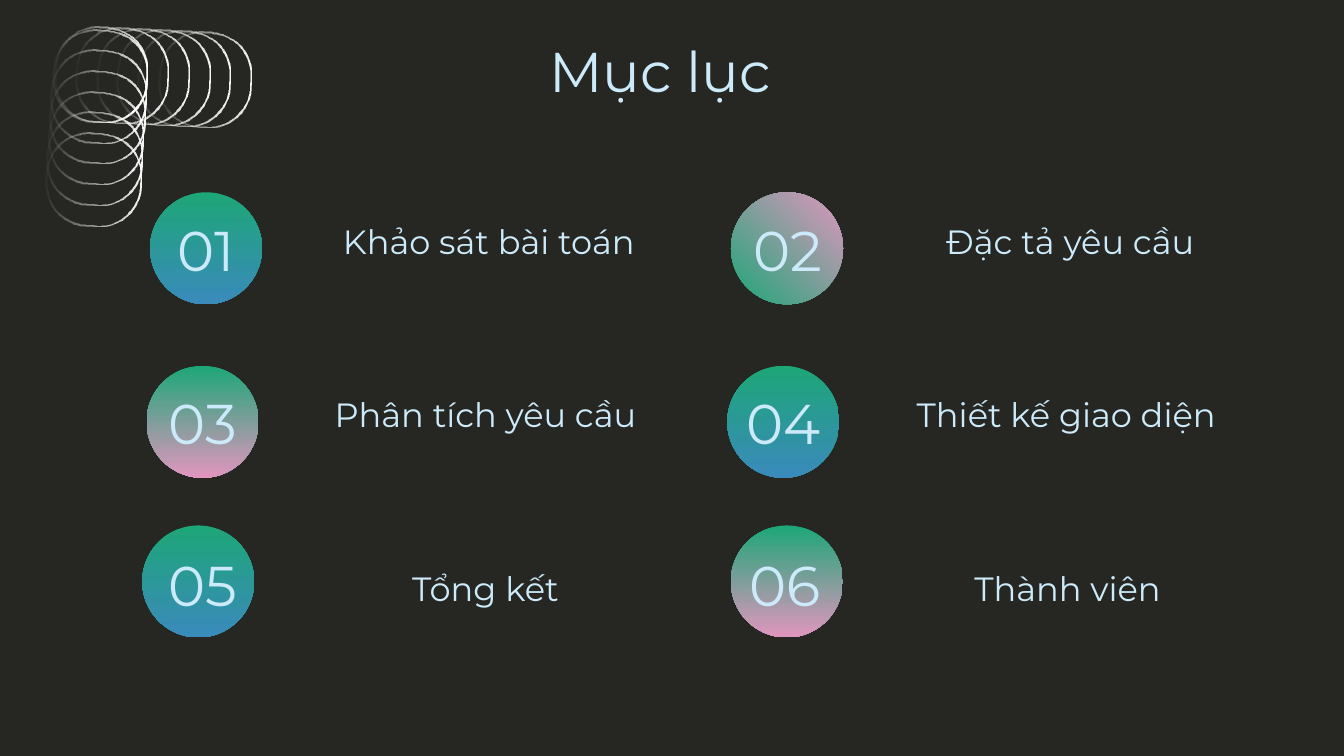
from dataclasses import dataclass

from lxml.etree import SubElement
from pptx import Presentation
from pptx.dml.color import RGBColor
from pptx.enum.shapes import MSO_SHAPE as Shape
from pptx.enum.text import MSO_ANCHOR as Anchor, MSO_AUTO_SIZE as AutoSize, PP_ALIGN as Align
from pptx.oxml.ns import qn
from pptx.util import Pt

COLORS = {
    "background": "262722",
    "text": "CCEAFA",
    "green": "1DA677",
    "pink": "E096BE",
    "blue": "3A8ABB",
    "ring": "FFFFFF",
}
FONT = "Montserrat"
CIRCLE = 60
NUMBER_SIZE = (75, 39)
LABEL_SIZE = (215, 31)
LABEL_OFFSET = 81.4


@dataclass
class Row:
    circle_y: float
    number_y: float
    label_y: float


@dataclass
class Entry:
    label: str
    circle_x: float
    number_x: float
    end_color: str
    angle: float = 270


@dataclass
class RingChain:
    x: float
    y: float
    dx: float
    dy: float
    width: float
    height: float
    rotation: float


ROWS = [
    Row(103, 113.8, 113.8),
    Row(196, 206.6, 206.6),
    Row(281.5, 293.4, 299.5),
]
ENTRIES = [
    Entry("Khảo sát bài toán", 80.4, 73, "blue"),
    Entry("Đặc tả yêu cầu", 391.6, 384.4, "pink", 45),
    Entry("Phân tích yêu cầu", 78.5, 71.2, "pink"),
    Entry("Thiết kế giao diện", 389.6, 382.3, "blue"),
    Entry("Tổng kết", 76.2, 71.2, "blue"),
    Entry("Thành viên", 391.5, 383, "pink"),
]
CHAINS = [
    RingChain(109.8, 42.8, -11.1, -0.6, 49.7, 51.1, 3.3),
    RingChain(50, 96.1, 0.72, -11.1, 51.1, 49.7, 3.6),
]
RINGS_PER_CHAIN = 6
RING_RADIUS = 22.6
RING_THICKNESS = 0.9
QUARTER_TURN = 90 * 60000


def color(name: str) -> RGBColor:
    return RGBColor.from_string(COLORS[name])


def write(s, text: str, *, size: float) -> None:
    tf = s.text_frame
    tf.word_wrap = True
    tf.auto_size = AutoSize.NONE
    tf.vertical_anchor = Anchor.MIDDLE
    tf.margin_left = tf.margin_right = tf.margin_top = tf.margin_bottom = Pt(7.2)
    p = tf.paragraphs[0]
    p.alignment = Align.CENTER
    r = p.add_run()
    r.text = text
    r.font.name = FONT
    r.font.size = Pt(size)
    r.font.color.rgb = color("text")


def add_text(slide, text: str, x: float, y: float, box: tuple[float, float], *, size: float) -> None:
    s = slide.shapes.add_textbox(Pt(x), Pt(y), Pt(box[0]), Pt(box[1]))
    write(s, text, size=size)


def paint(s, start: str, end: str, angle: float) -> None:
    """Fill with a two-stop gradient; the angle runs counter-clockwise."""
    s.shadow.inherit = False
    s.line.fill.background()
    s.fill.gradient()
    s.fill.gradient_angle = angle
    for stop, name in zip(s.fill.gradient_stops, (start, end)):
        stop.color.rgb = color(name)


def add_entry(slide, number: int, entry: Entry, row: Row) -> None:
    s = slide.shapes.add_shape(
        Shape.OVAL, Pt(entry.circle_x), Pt(row.circle_y), Pt(CIRCLE), Pt(CIRCLE))
    paint(s, "green", entry.end_color, entry.angle)
    add_text(slide, f"{number:02}", entry.number_x, row.number_y, NUMBER_SIZE, size=30)
    add_text(slide, entry.label, entry.number_x + LABEL_OFFSET, row.label_y, LABEL_SIZE, size=18)


def corner_points(cx: float, cy: float, width: float, height: float,
                  radius: float) -> list[tuple[int, int]]:
    """Return where each rounded corner starts and ends, clockwise from bottom right."""
    w, h = width / 2, height / 2
    u, v = w - radius, h - radius
    offsets = [(w, v), (u, h), (-u, h), (-w, v), (-w, -v), (-u, -h), (u, -h), (w, -v)]
    return [(Pt(cx + x), Pt(cy + y)) for x, y in offsets]


def round_corners(s, radii: tuple[float, float]) -> None:
    """Turn every other line of each contour into a quarter arc."""
    lines = s._element.xpath(".//a:lnTo")
    per_contour = len(lines) // len(radii)
    for i, line in enumerate(lines):
        contour, place = divmod(i, per_contour)
        if place % 2 == 0:
            arc = SubElement(line.getparent(), qn("a:arcTo"))
            radius = str(Pt(radii[contour]))
            arc.set("wR", radius)
            arc.set("hR", radius)
            arc.set("stAng", str(place // 2 * QUARTER_TURN))
            arc.set("swAng", str(QUARTER_TURN))
            line.getparent().replace(line, arc)


def add_ring(slide, chain: RingChain, index: int) -> None:
    cx = chain.x + index * chain.dx
    cy = chain.y + index * chain.dy
    insets = (0, RING_THICKNESS)
    outer, inner = (
        corner_points(cx, cy, chain.width - 2 * t, chain.height - 2 * t, RING_RADIUS - t)
        for t in insets)
    builder = slide.shapes.build_freeform(*outer[0])
    builder.add_line_segments(outer[1:])
    builder.move_to(*inner[0])
    builder.add_line_segments(inner[1:])
    s = builder.convert_to_shape()
    round_corners(s, tuple(RING_RADIUS - t for t in insets))
    s.rotation = chain.rotation
    paint(s, "ring", "ring", 180)
    faded = s._element.xpath(".//a:gs[2]/a:srgbClr")[0]
    SubElement(faded, qn("a:alpha"), val="0")


def main() -> None:
    prs = Presentation()
    prs.slide_width, prs.slide_height = Pt(720), Pt(405)
    slide = prs.slides.add_slide(prs.slide_layouts[5])
    slide.background.fill.solid()
    slide.background.fill.fore_color.rgb = color("background")

    title = slide.shapes.title
    title.left, title.top, title.width, title.height = Pt(49.7), Pt(15.1), Pt(607.7), Pt(45.4)
    write(title, "Mục lục", size=30)

    for i, entry in enumerate(ENTRIES):
        add_entry(slide, i + 1, entry, ROWS[i // 2])
    for chain in CHAINS:
        for i in range(RINGS_PER_CHAIN):
            add_ring(slide, chain, i)
    prs.save("out.pptx")


if __name__ == "__main__":
    main()
